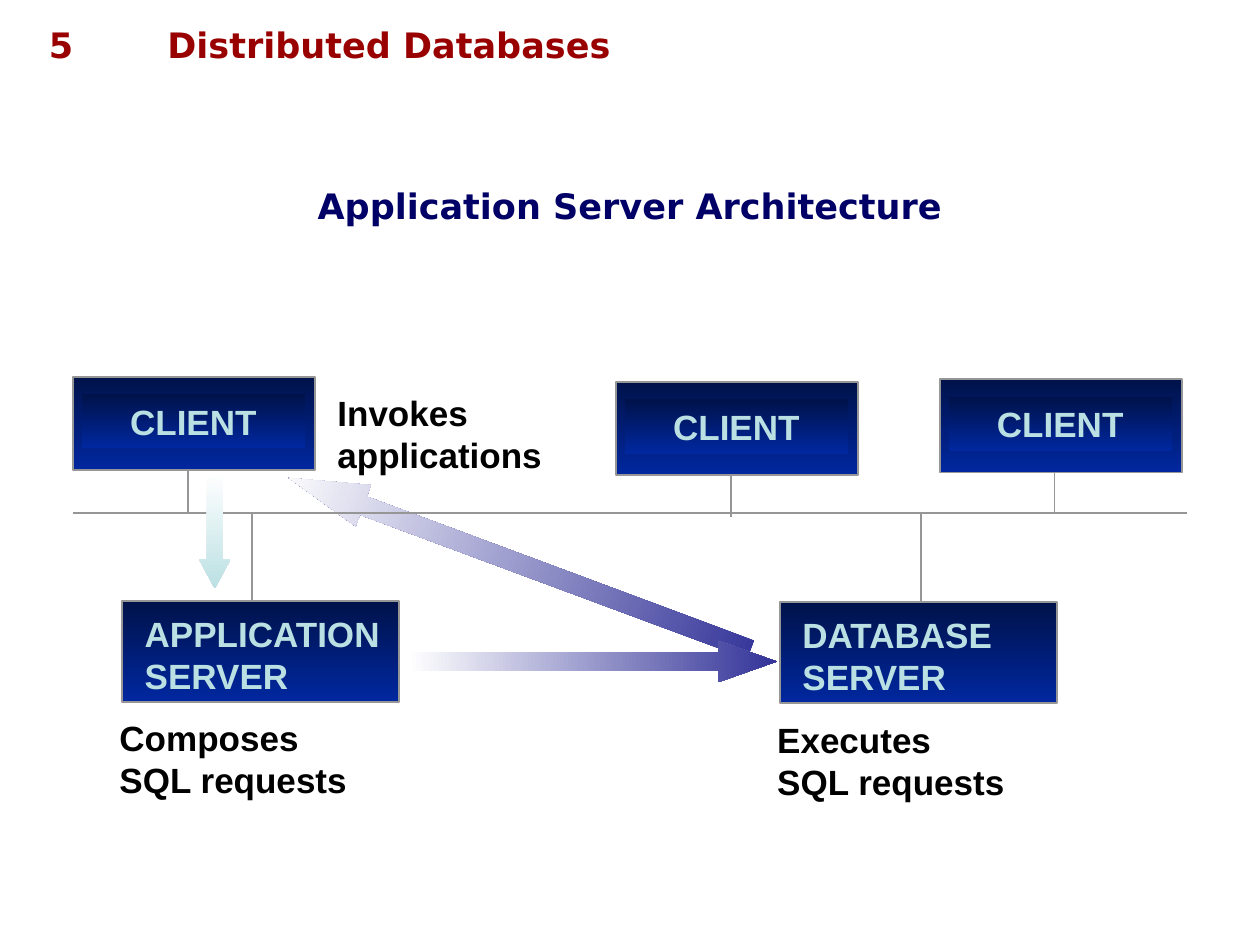
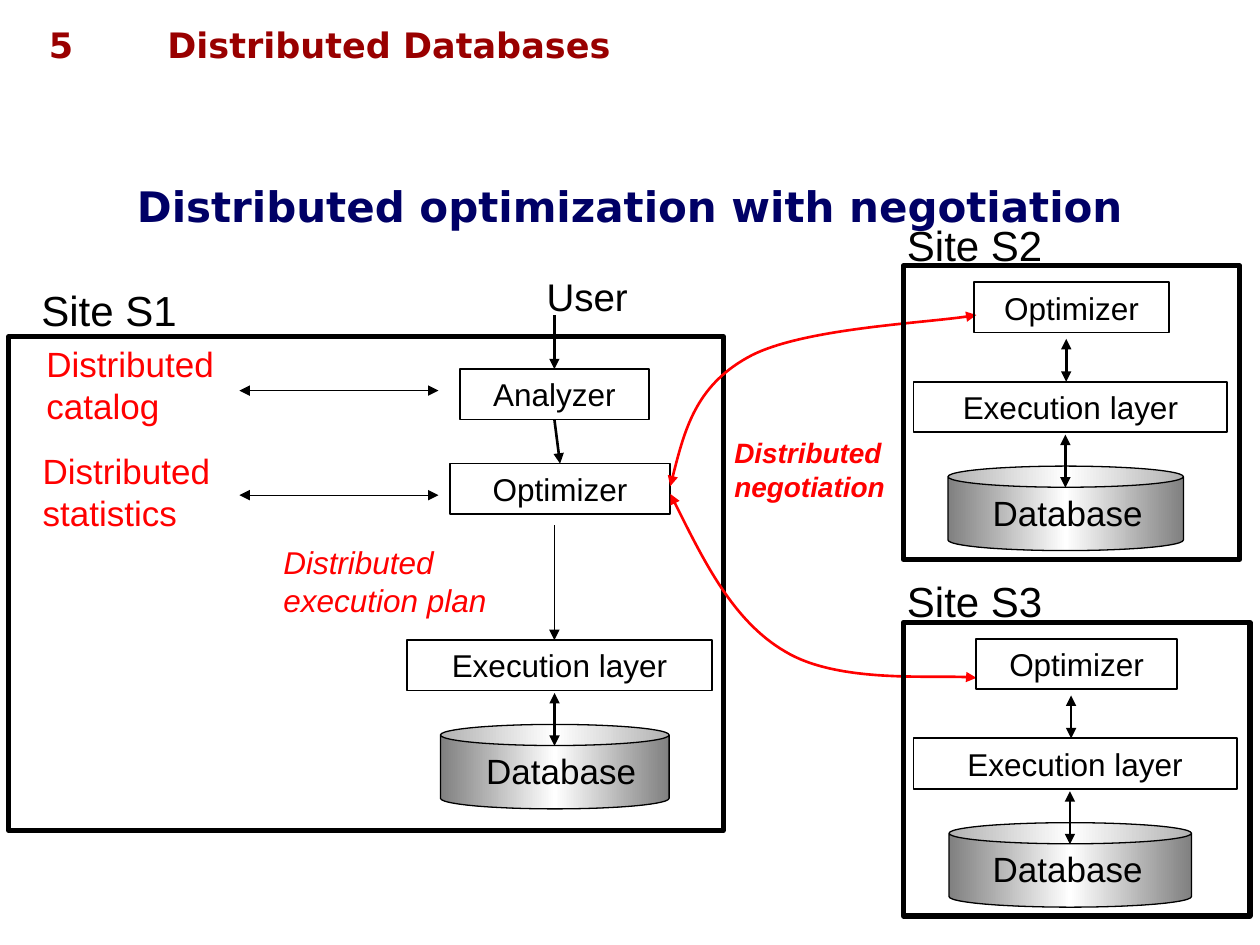
import copy

import pptx
import pptx.dml.color
import pptx.enum.shapes
import pptx.enum.text
import pptx.oxml
import pptx.oxml.ns
import pptx.util
from lxml import etree

Inches = pptx.util.Inches
Pt = pptx.util.Pt
qn = pptx.oxml.ns.qn
MSO_SHAPE = pptx.enum.shapes.MSO_SHAPE
ALIGN = pptx.enum.text.PP_ALIGN
ANCHOR = pptx.enum.text.MSO_ANCHOR

HEADING_FONT, BODY_FONT = "DejaVu Sans", "Arial"
MAROON, NAVY, BLACK, RED, GREY = "990000", "000066", "000000", "FF0000", "969696"
WHITE, PALE, INDIGO = "FFFFFF", "BBE0E3", "333399"
BOX_BLUES = ("00124A", "00279F")
CAN_GREYS = ("808080", WHITE, "808080")
ONE_WAY = ("tailEnd",)
TWO_WAY = ("headEnd", "tailEnd")


def rgb(color):
    return pptx.dml.color.RGBColor.from_string(color)


def write(sp, text, size, color=BLACK, font=BODY_FONT, bold=False, italic=False,
          align=ALIGN.LEFT, anchor=ANCHOR.TOP):
    tf = sp.text_frame
    tf.text = text
    tf.word_wrap = True
    tf.vertical_anchor = anchor
    for p in tf.paragraphs:
        p.alignment = align
        for r in p.runs:
            r.font.size, r.font.name = Pt(size), font
            r.font.bold, r.font.italic = bold, italic
            r.font.color.rgb = rgb(color)


def add_text(slide, box, text, size, **style):
    sp = slide.shapes.add_textbox(*map(Inches, box))
    write(sp, text, size, **style)


def fill_gradient(sp, colors, angle):
    """Fill with evenly spaced colour stops, at an angle measured clockwise."""
    sp.fill.gradient()
    sp.fill.gradient_angle = 360 - angle
    stop_list = sp._element.spPr.find(".//" + qn("a:gsLst"))
    while len(stop_list) < len(colors):
        stop_list.append(copy.deepcopy(stop_list[-1]))
    for i, (stop, color) in enumerate(zip(sp.fill.gradient_stops, colors)):
        stop.position = i / (len(colors) - 1)
        stop.color.rgb = rgb(color)


def style_line(sp, color, width, heads=()):
    sp.line.color.rgb = rgb(color)
    sp.line.width = Pt(width)
    ln = sp._element.spPr.find(qn("a:ln"))
    for head in heads:
        etree.SubElement(ln, qn("a:" + head), type="triangle")


def add_shape(slide, kind, box, gradient=None, angle=90, line=None, width=1.0):
    sp = slide.shapes.add_shape(kind, *map(Inches, box))
    sp.shadow.inherit = False
    if gradient:
        fill_gradient(sp, gradient, angle)
    else:
        sp.fill.background()
    if line:
        style_line(sp, line, width)
    else:
        sp.line.fill.background()
    return sp


def add_line(slide, start, end, color=BLACK, width=1.5, heads=()):
    cx = slide.shapes.add_connector(pptx.enum.shapes.MSO_CONNECTOR.STRAIGHT,
                                    *map(Inches, start + end))
    style_line(cx, color, width, heads)
    etree.SubElement(cx._element.spPr, qn("a:effectLst"))
    return cx


def add_header(slide, title, size):
    heading = dict(font=HEADING_FONT, bold=True)
    add_text(slide, (1.23, 0.14, 8.51, 0.44), "Distributed Databases", 20, color=MAROON, **heading)
    add_text(slide, (0.13, 0.14, 0.71, 0.44), "5", 20, color=MAROON, align=ALIGN.CENTER, **heading)
    add_text(slide, (0, 1.48, 10, 0.3), title, size, color=NAVY, align=ALIGN.CENTER,
             anchor=ANCHOR.MIDDLE, **heading)


# Application server architecture

def add_block_arrow(slide, box, rotation, shaft, head, colors):
    """Down arrow, coloured from tail to head and then turned clockwise."""
    sp = add_shape(slide, MSO_SHAPE.DOWN_ARROW, box, colors)
    sp.adjustments[0], sp.adjustments[1] = shaft, head
    sp.rotation = rotation


def add_client(slide, x, y):
    add_line(slide, (x + 0.91, y + 0.67), (x + 0.91, y + 1.07), GREY, 1)
    add_shape(slide, MSO_SHAPE.RECTANGLE, (x, y, 1.92, 0.74), BOX_BLUES, line=GREY)
    label = add_shape(slide, MSO_SHAPE.RECTANGLE, (x + 0.07, y + 0.14, 1.77, 0.43), BOX_BLUES)
    write(label, "CLIENT", 20, color=PALE, bold=True, align=ALIGN.CENTER, anchor=ANCHOR.MIDDLE)


def add_server(slide, x, y, stem_x, name, task):
    add_line(slide, (stem_x, 4.07), (stem_x, y + 0.02), GREY, 1)
    add_shape(slide, MSO_SHAPE.RECTANGLE, (x, y, 2.2, 0.8), BOX_BLUES, line=GREY)
    add_text(slide, (x + 0.08, y + 0.04, 2.29, 0.76), name, 20, color=PALE, bold=True)
    add_text(slide, (x - 0.12, y + 0.87, 2.1, 0.76), task, 20, bold=True)


def build_architecture(slide):
    add_block_arrow(slide, (3.95, 2.52, 0.35, 3.91), 110.4, 0.44, 1.8, (INDIGO, WHITE))
    add_line(slide, (0.58, 4.07), (9.42, 4.07), GREY, 1)
    for x, y in ((0.58, 2.99), (7.46, 3.01), (4.89, 3.03)):
        add_client(slide, x, y)
    add_server(slide, 0.97, 4.77, 2, "APPLICATION SERVER", "Composes\nSQL requests")
    add_server(slide, 6.19, 4.78, 7.31, "DATABASE\nSERVER", "Executes\nSQL requests")
    add_text(slide, (2.58, 3.06, 2, 0.76), "Invokes\napplications", 20, bold=True)
    add_block_arrow(slide, (1.58, 3.75, 0.25, 0.92), 0, 0.5, 0.92, (WHITE, PALE))
    add_block_arrow(slide, (4.54, 3.79, 0.33, 2.92), 270, 0.44, 1.41, (WHITE, INDIGO))
    add_header(slide, "Application Server Architecture", 20)


# Distributed optimization

def add_step(slide, x, y, w, text):
    sp = add_shape(slide, MSO_SHAPE.RECTANGLE, (x, y, w, 0.4), line=BLACK)
    write(sp, text, 18, align=ALIGN.CENTER, anchor=ANCHOR.MIDDLE)
    return sp


def add_execution_and_database(slide, x, y, w):
    can = add_shape(slide, MSO_SHAPE.CAN, (x + 0.11 * w, y + 0.67, 0.75 * w, 0.67),
                    CAN_GREYS, angle=0, line=BLACK, width=0.75)
    can.adjustments[0] = 0.25
    add_text(slide, (x + 0.53, y + 0.82, 1.5, 0.44), "Database", 20)
    add_step(slide, x, y, w, "Execution layer")
    middle = x + 0.484 * w
    add_line(slide, (middle, y + 0.42), (middle, y + 0.84), heads=TWO_WAY)


def add_site_frame(slide, x, y, w, h, name, label_dx, label_dy):
    add_shape(slide, MSO_SHAPE.RECTANGLE, (x, y, w, h), line=BLACK, width=3)
    add_text(slide, (x + label_dx, y + label_dy, 1.5, 0.5), name, 24)


def add_remote_site(slide, x, y, w, name):
    add_execution_and_database(slide, x + 0.08, y + 0.92, 0.933 * w)
    add_site_frame(slide, x, y, w, 2.33, name, -0.07, -0.42)
    add_step(slide, x + 0.21 * w, y + 0.13, 0.58 * w, "Optimizer")
    middle = x + 0.484 * w
    add_line(slide, (middle, y + 0.58), (middle, y + 0.92), heads=TWO_WAY)


def add_local_site(slide):
    red = dict(color=RED)
    add_text(slide, (0.24, 3.52, 1.7, 0.77), "Distributed\nstatistics", 20, **red)
    add_text(slide, (0.27, 2.67, 2.04, 0.77), "Distributed catalog", 20, **red)
    add_text(slide, (4.24, 2.12, 1, 0.47), "User", 22)
    for y in (3.1, 3.93):
        add_line(slide, (1.9, y), (3.48, y), width=0.75, heads=TWO_WAY)
    optimizer = add_step(slide, 3.57, 3.68, 1.75, "Optimizer")
    analyzer = add_step(slide, 3.65, 2.93, 1.5, "Analyzer")
    add_site_frame(slide, 0.07, 2.67, 5.67, 3.92, "Site S1", 0.16, -0.46)
    add_execution_and_database(slide, 3.23, 5.08, 2.42)
    query = add_line(slide, (4.4, 2.5), (4.4, 2.93), heads=ONE_WAY)
    query.end_connect(analyzer, 0)
    analyzed = add_line(slide, (4.4, 3.33), (4.44, 3.68), heads=ONE_WAY)
    analyzed.begin_connect(analyzer, 2)
    analyzed.end_connect(optimizer, 0)
    add_line(slide, (4.4, 4.17), (4.4, 5.08), width=0.75, heads=ONE_WAY)
    add_text(slide, (2.15, 4.26, 2.29, 0.7), "Distributed execution plan", 18, italic=True, **red)


def add_negotiation_curve(slide, points):
    """Cubic curve through a start point and groups of two controls and an end."""
    start, *rest = [tuple(map(Inches, point)) for point in points]
    builder = slide.shapes.build_freeform(*start)
    builder.add_line_segments(rest, close=False)
    sp = builder.convert_to_shape()
    sp.shadow.inherit = False
    sp.fill.background()
    style_line(sp, RED, 1.5, TWO_WAY)
    outline = sp._element.find(".//" + qn("a:path"))
    segments = outline.findall(qn("a:lnTo"))
    for i in range(0, len(segments), 3):
        curve = etree.SubElement(outline, qn("a:cubicBezTo"))
        for segment in segments[i:i + 3]:
            curve.append(segment[0])
            outline.remove(segment)


def build_negotiation(slide):
    add_header(slide, "Distributed optimization with negotiation", 24)
    add_local_site(slide)
    add_negotiation_curve(slide, [(5.32, 3.92), (5.57, 4.42), (5.82, 4.93), (6.23, 5.17),
                                  (6.64, 5.42), (7.5, 5.35), (7.75, 5.38)])
    add_negotiation_curve(slide, [(5.32, 3.86), (5.42, 3.46), (5.52, 3.07), (5.93, 2.84),
                                  (6.33, 2.61), (7.45, 2.56), (7.75, 2.5)])
    add_remote_site(slide, 7.17, 2.11, 2.67, "Site S2")
    add_remote_site(slide, 7.17, 4.94, 2.75, "Site S3")
    add_text(slide, (5.73, 3.41, 1.5, 0.64), "Distributed negotiation", 16, color=RED,
             bold=True, italic=True)


def main():
    prs = pptx.Presentation()
    prs.slide_width, prs.slide_height = Inches(10), Inches(7.5)
    for build in (build_architecture, build_negotiation):
        build(prs.slides.add_slide(prs.slide_layouts[6]))
    prs.save("out.pptx")


if __name__ == "__main__":
    main()
